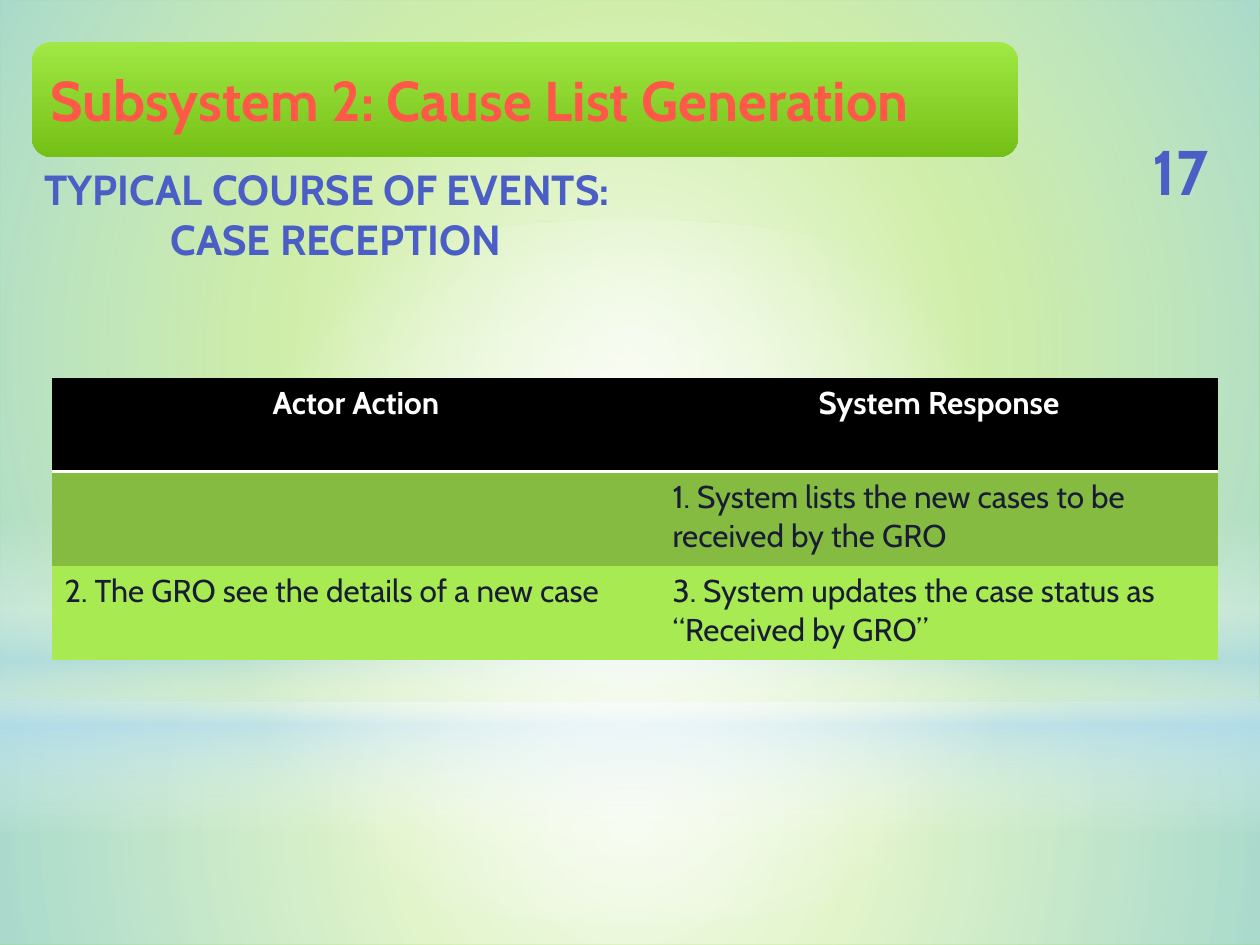
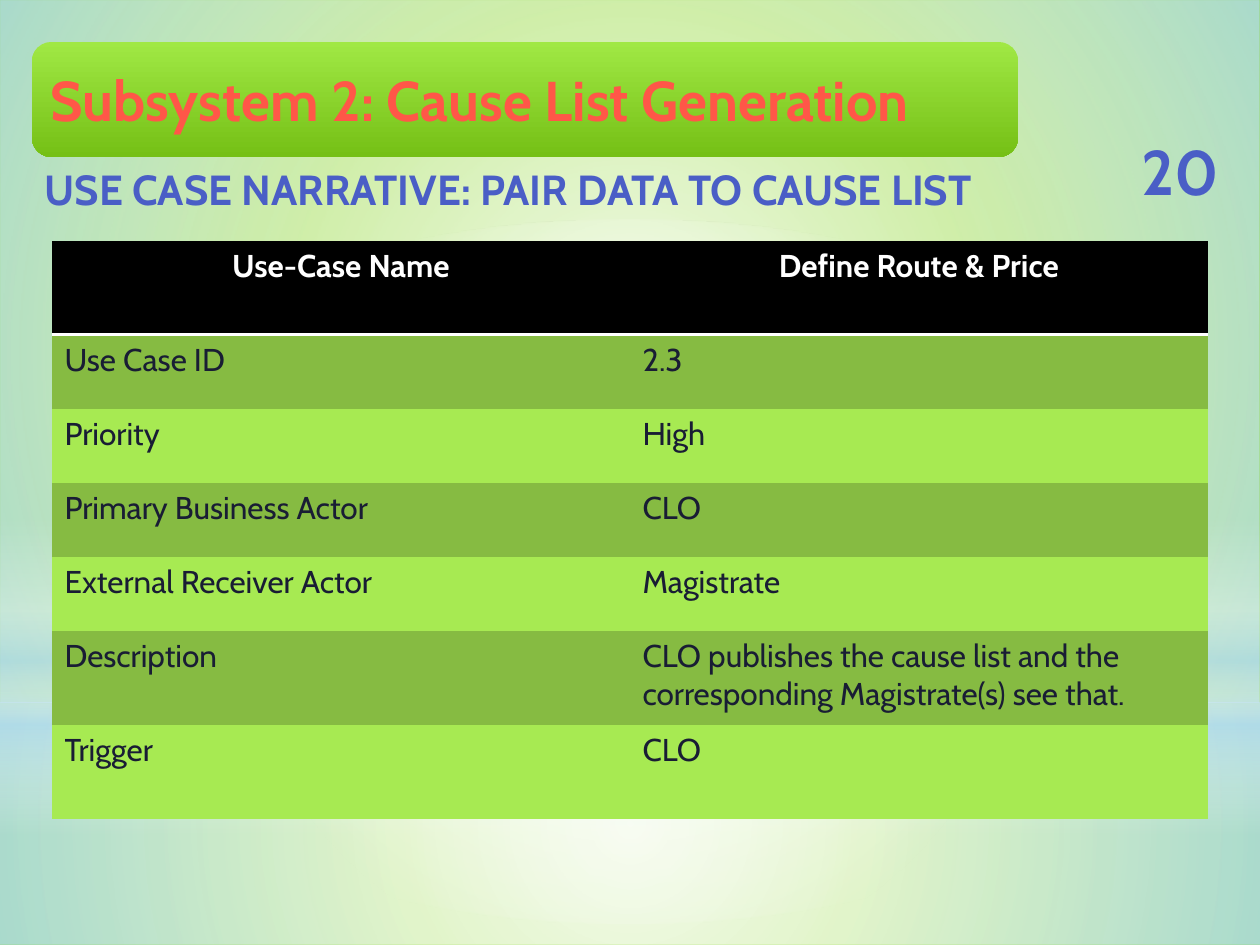
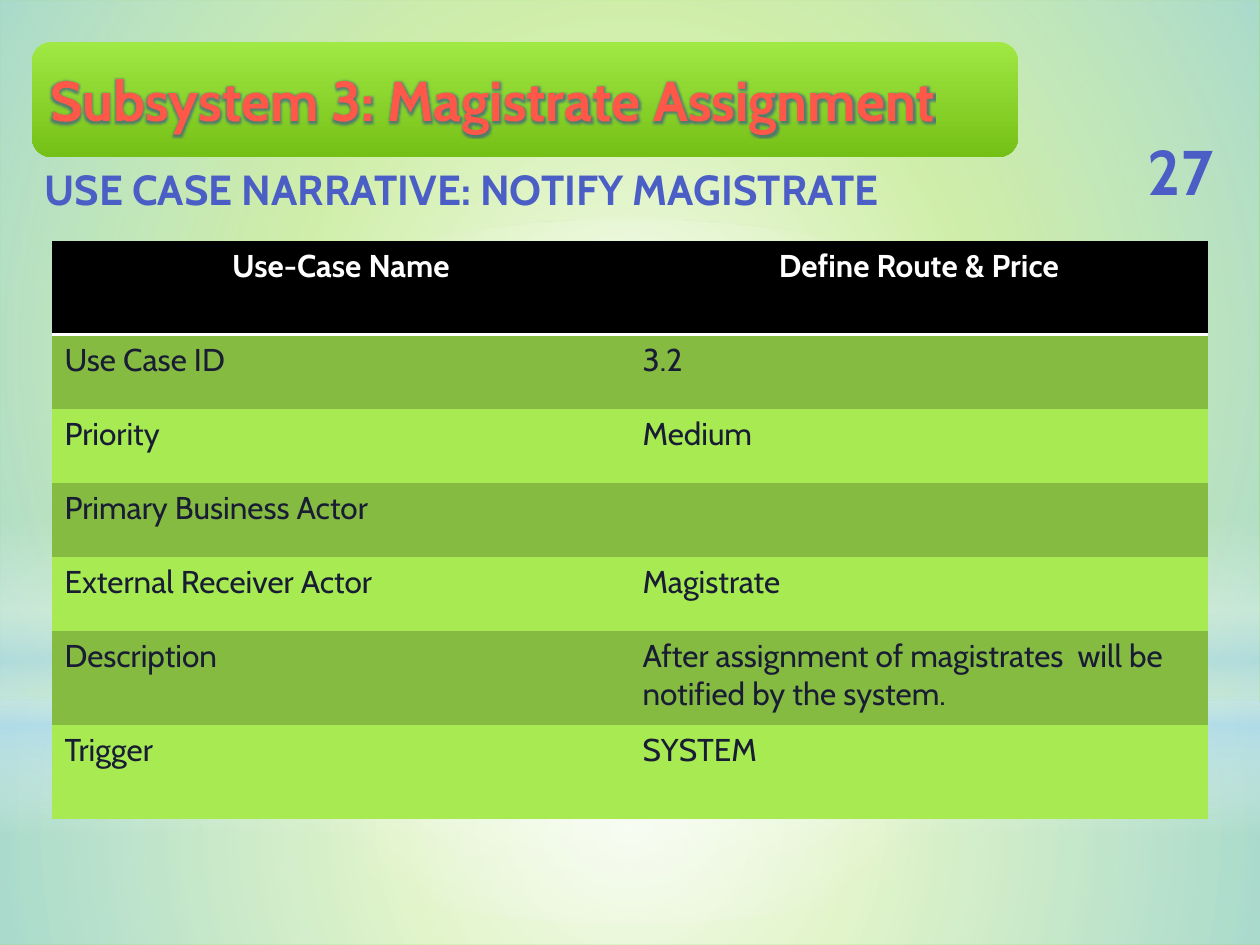
from dataclasses import dataclass

from lxml.etree import SubElement as Sub
from pptx import Presentation
from pptx.dml.color import RGBColor as Rgb
from pptx.enum.shapes import MSO_SHAPE as Kind
from pptx.enum.text import MSO_ANCHOR as Anchor, MSO_AUTO_SIZE as Fit, PP_ALIGN as Align
from pptx.oxml import parse_xml
from pptx.oxml.ns import nsdecls, qn
from pptx.util import Pt


@dataclass(frozen=True)
class Theme:
    face: str = "Cabin"
    back: str = "81D31A"
    white: str = "FFFFFF"
    sky: str = "B4DCFA"
    lime: str = "A0E844"
    leaf: str = "75C016"
    red: str = "FF5748"
    blue: str = "4A5EC6"
    glow: str = "31479D"
    black: str = "000000"
    ink: str = "191D34"
    rows: tuple = ("86BB42", "A7EA52")
    title: int = 32
    sub: int = 24
    page: int = 36
    cell: int = 18
    rule: int = 2


T = Theme()
PLAIN = "{2D5ABB26-0587-4C30-8999-92F81FD0307C}"
WIDE, HIGH = 1260, 945
BAND = (32, 42, 986, 115)
PAGE = (1119, 136, 123, 68)
HEAD, ROW = 94, 74


def px(n):
    return round(n * 914400 / 126)


def place(shape, box):
    shape.left, shape.top, shape.width, shape.height = map(px, box)


def style(para, size, tint, bold=True, align=Align.LEFT):
    para.alignment = align
    for run in para.runs:
        font = run.font
        font.name, font.size, font.bold = T.face, Pt(size), bold
        font.color.rgb = Rgb.from_string(tint)


def blend(shape, stops, round_path=True):
    shape.fill.background()
    old = shape.element.spPr.find(qn("a:noFill"))
    grad = parse_xml(f'<a:gradFill rotWithShape="1" {nsdecls("a")}/>')
    stop_list = Sub(grad, qn("a:gsLst"))
    for pos, tint, alpha in stops:
        stop = Sub(stop_list, qn("a:gs"), pos=str(pos * 1000))
        color = Sub(stop, qn("a:srgbClr"), val=tint)
        if alpha < 100:
            Sub(color, qn("a:alpha"), val=str(alpha * 1000))
    if round_path:
        way = Sub(grad, qn("a:path"), path="circle")
        Sub(way, qn("a:fillToRect"), {side: "50000" for side in "ltrb"})
    else:
        Sub(grad, qn("a:lin"), ang="5400000", scaled="0")
    old.getparent().replace(old, grad)


def decor(slide, layout):
    layout.background.fill.solid()
    layout.background.fill.fore_color.rgb = Rgb.from_string(T.back)
    white, sky = T.white, T.sky
    parts = [
        (Kind.RECTANGLE, (0, 703, WIDE, 242), True,
         [(0, white, 91), (37, white, 76), (100, sky, 79)]),
        (Kind.RECTANGLE, (0, 0, WIDE, 703), True,
         [(0, white, 89), (48, white, 62), (100, sky, 79)]),
        (Kind.RECTANGLE, (0, 519, WIDE, 315), False,
         [(0, white, 0), (29, white, 30), (45, sky, 40),
          (55, white, 26), (65, sky, 60), (100, white, 0)]),
        (Kind.OVAL, (0, 220, WIDE, 703), True,
         [(0, white, 100), (56, white, 0)]),
        (Kind.ROUNDED_RECTANGLE, BAND, False,
         [(0, T.lime, 100), (100, T.leaf, 100)]),
    ]
    for i, (kind, box, round_path, stops) in enumerate(parts):
        shape = slide.shapes.add_shape(kind, *map(px, box))
        shape.shadow.inherit = False
        shape.line.fill.background()
        blend(shape, stops, round_path)
        shape.element.nvSpPr.cNvPr.set("id", str(20 + i))
        layout.shapes.element.insert(2 + i, shape.element)


def shine(run):
    fill = run._r.get_or_add_rPr().find(qn("a:solidFill"))
    fill.addnext(parse_xml(
        f'<a:effectLst {nsdecls("a")}><a:glow rad="38100"><a:srgbClr val="{T.glow}">'
        '<a:alpha val="60000"/></a:srgbClr></a:glow></a:effectLst>'))


def title(slide, box, text, glow):
    shape = slide.shapes.title
    place(shape, box)
    frame = shape.text_frame
    frame.text = text
    frame.word_wrap, frame.auto_size = True, Fit.NONE
    frame.vertical_anchor = Anchor.MIDDLE
    frame.margin_left = px(18)
    style(frame.paragraphs[0], T.title, T.red)
    if glow:
        shine(frame.paragraphs[0].runs[0])


def topic(slide, box, lines):
    shape = slide.placeholders[1]
    place(shape, box)
    frame = shape.text_frame
    frame.text = "\n".join(lines)
    frame.word_wrap, frame.auto_size = True, Fit.NONE
    frame.vertical_anchor = Anchor.TOP
    for i, para in enumerate(frame.paragraphs):
        props = para._p.get_or_add_pPr()
        props.set("marL", str(px(126 * i)))
        props.set("indent", "0")
        Sub(props, qn("a:buNone"))
        para.space_before = Pt(0)
        style(para, T.sub, T.blue)


def number(slide, box, text):
    frame = slide.shapes.add_textbox(*map(px, box)).text_frame
    frame.text = text
    frame.word_wrap = True
    frame.vertical_anchor = Anchor.MIDDLE
    style(frame.paragraphs[0], T.page, T.blue, align=Align.CENTER)


def rule(cell):
    line = parse_xml(
        f'<a:lnB w="{Pt(T.rule)}" {nsdecls("a")}><a:solidFill>'
        f'<a:srgbClr val="{T.white}"/></a:solidFill></a:lnB>')
    cell._tc.get_or_add_tcPr().insert(0, line)


def grid(slide, spot, cols, rows, data):
    box = (*spot, sum(cols), sum(rows))
    table = slide.shapes.add_table(len(rows), len(cols), *map(px, box)).table
    table.horz_banding = False
    table._tbl.tblPr.find(qn("a:tableStyleId")).text = PLAIN
    for col, wide in zip(table.columns, cols):
        col.width = px(wide)
    for r, (row, high, texts) in enumerate(zip(table.rows, rows, data)):
        row.height = px(high)
        for cell, text in zip(row.cells, texts):
            cell.text = text
            cell.fill.solid()
            tint = T.rows[(r - 1) % 2] if r else T.black
            cell.fill.fore_color.rgb = Rgb.from_string(tint)
            para = cell.text_frame.paragraphs[0]
            if r:
                style(para, T.cell, T.ink, False)
            else:
                style(para, T.cell, T.white, align=Align.CENTER)
                rule(cell)


def head(slide, name, lines, page, glow=False):
    left, top, wide, high = BAND
    title(slide, BAND, name, glow)
    topic(slide, (left, top + high, WIDE - left, 12 + 51 * len(lines)), lines)
    number(slide, PAGE, page)


def events(slide, name, lines, page, data):
    head(slide, name, lines, page)
    pairs = [("Actor Action", "System Response"), *data]
    grid(slide, (52, 378), (608, 558), [HEAD] * len(pairs), pairs)


def story(slide, name, line, page, facts, glow=False):
    head(slide, name, [line], page, glow)
    keys = ("Use-Case Name", "Use Case ID", "Priority", "Primary Business Actor",
            "External Receiver Actor", "Description", "Trigger")
    pairs = list(zip(keys, ("Define Route & Price", *facts)))
    rows = [HEAD] + [ROW] * 4 + [HEAD] * 2
    grid(slide, (52, 241), (578, 578), rows, pairs)


def main():
    deck = Presentation()
    deck.slide_width, deck.slide_height = px(WIDE), px(HIGH)
    layout = deck.slide_layouts[1]
    first, second, third = [deck.slides.add_slide(layout) for _ in range(3)]
    decor(first, layout)
    cause = "Subsystem 2: Cause List Generation"
    events(first, cause, ["TYPICAL COURSE OF EVENTS:", "CASE RECEPTION"], "17", [
        ("", "1. System lists the new cases to be received by the GRO"),
        ("2. The GRO see the details of a new case",
         "3. System updates the case status as “Received by GRO”"),
    ])
    story(second, cause, "USE CASE NARRATIVE: PAIR DATA TO CAUSE LIST", "20", (
        "2.3", "High", "CLO", "Magistrate",
        "CLO publishes the cause list and the corresponding Magistrate(s) see that.",
        "CLO"))
    story(third, "Subsystem 3: Magistrate Assignment",
          "USE CASE NARRATIVE: NOTIFY MAGISTRATE", "27", (
              "3.2", "Medium", "", "Magistrate",
              "After assignment of magistrates  will be notified by the system.",
              "SYSTEM"), glow=True)
    deck.save("out.pptx")


if __name__ == "__main__":
    main()
